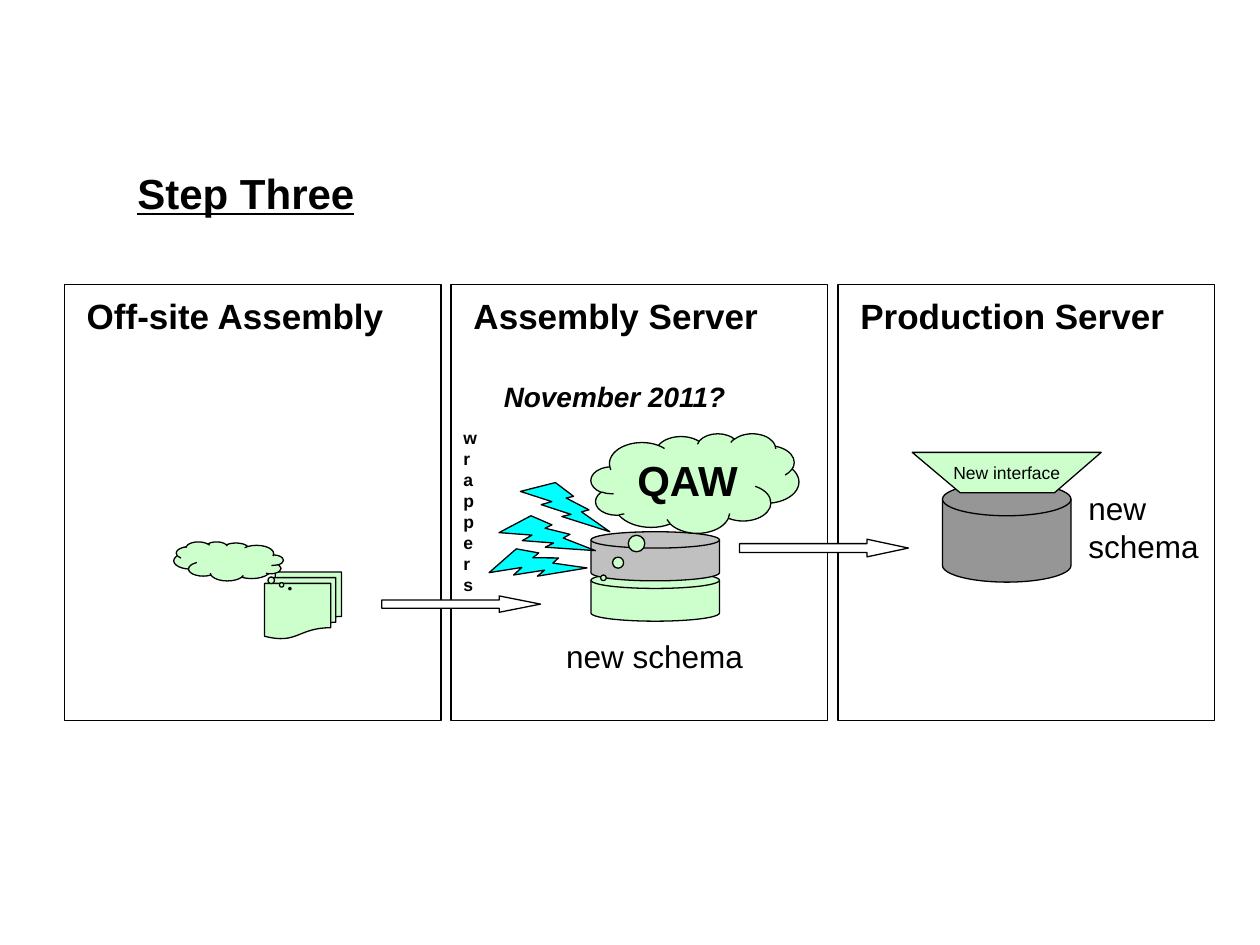
"""Build the Step Three slide: data flow from off-site assembly to the production server."""
from pptx import Presentation
from pptx import util as u
from pptx.dml.color import RGBColor
from pptx.enum import shapes, text
from pptx.oxml.ns import qn

THEME = {
    "font": "Arial", "ink": "000000", "paper": "FFFFFF", "mint": "CCFFCC",
    "silver": "C0C0C0", "gray": "969696", "cyan": "00FFFF", "line": 0.75,
    "title": 24, "heading": 20, "label": 18, "date": 16, "small": 10,
}
KIND = shapes.MSO_SHAPE
LEFT, CENTER = text.PP_ALIGN.LEFT, text.PP_ALIGN.CENTER
TOP, MIDDLE = text.MSO_ANCHOR.TOP, text.MSO_ANCHOR.MIDDLE
GROW, FIXED = text.MSO_AUTO_SIZE.SHAPE_TO_FIT_TEXT, text.MSO_AUTO_SIZE.NONE

TITLE = ("Step Three", (0.99, 1.28, 1.97, 0.5))
PANELS = ["Off-site Assembly", "Assembly Server", "Production Server"]
PANEL_BOX, PANEL_STEP = (0.51, 2.26, 2.99, 3.46), 3.07
HEADING_BOX = (0.59, 2.29, 2.84, 0.44)

PRODUCTION_DISK = (KIND.FLOWCHART_MAGNETIC_DISK, (7.48, 3.83, 1.02, 0.79), "gray", {})
INTERFACE = ("New interface", [(7.24, 3.59), (8.74, 3.59), (8.37, 3.91), (7.62, 3.91)])
FLOW_SHAPES = [
    (KIND.RIGHT_ARROW, (5.87, 4.28, 1.34, 0.14), "paper", {"adjust": (0.5, 2.35)}),
    (KIND.RIGHT_ARROW, (3.03, 4.73, 1.26, 0.13), "paper", {"adjust": (0.5, 2.52)}),
    (KIND.FLOWCHART_MULTIDOCUMENT, (2.1, 4.54, 0.61, 0.53), "mint", {}),
    (KIND.FLOWCHART_MAGNETIC_DISK, (4.69, 4.54, 1.02, 0.39), "mint", {}),
    (KIND.FLOWCHART_MAGNETIC_DISK, (4.69, 4.22, 1.02, 0.39), "silver", {}),
    (KIND.CLOUD_CALLOUT, (4.69, 3.44, 1.65, 0.79), "mint",
     {"adjust": (-0.44, 0.95), "words": "QAW"}),
    (KIND.LIGHTNING_BOLT, (3.9, 4.3, 0.71, 0.39), "cyan", {"rotation": 333}),
    (KIND.LIGHTNING_BOLT, (3.98, 4.07, 0.71, 0.39), "cyan", {"rotation": 346.3}),
    (KIND.LIGHTNING_BOLT, (4.13, 3.83, 0.71, 0.39), "cyan", {}),
    (KIND.CLOUD_CALLOUT, (1.38, 4.3, 0.87, 0.31), "mint",
     {"adjust": (-0.56, 0.7), "flip": True}),
]
LABELS = [
    (["wrappers"], (3.58, 3.34, 0.22, 1.44), "small", {"bold": True}, {}),
    (["new", "schema"], (8.54, 3.83, 1.12, 0.7), "label", {}, {}),
    (["new schema"], (4.13, 5.01, 2.13, 0.4), "label", {}, {"align": CENTER}),
    (["November 2011?"], (3.9, 2.96, 2.28, 0.37), "date", {"bold": True, "italic": True}, {}),
]


def color(name):
    return RGBColor.from_string(THEME[name])


def inches(box):
    return [u.Inches(value) for value in box]


def set_all(target, values):
    for name, value in values.items():
        setattr(target, name, value)


def write(shape, lines, size, font=None, align=LEFT, **frame_format):
    frame = shape.text_frame
    frame.text = "\n".join(lines)
    set_all(frame, {"word_wrap": True, "vertical_anchor": TOP, "auto_size": GROW, **frame_format})
    for paragraph in frame.paragraphs:
        paragraph.alignment = align
        set_all(paragraph.font, {"name": THEME["font"], "size": u.Pt(THEME[size]), **(font or {})})
        paragraph.font.color.rgb = color("ink")


def paint(shape, fill):
    shape.shadow.inherit = False
    shape.fill.solid()
    shape.fill.fore_color.rgb = color(fill)
    shape.line.color.rgb = color("ink")
    shape.line.width = u.Pt(THEME["line"])


def add_figure(slide, kind, box, fill, adjust=(), rotation=0, flip=False, words=None):
    shape = slide.shapes.add_shape(kind, *inches(box))
    paint(shape, fill)
    shape.rotation = rotation
    for index, value in enumerate(adjust):
        shape.adjustments[index] = value
    if flip:
        shape._element.spPr.find(qn("a:xfrm")).set("flipH", "1")
    if words:
        write(shape, [words], "title", {"bold": True}, CENTER, auto_size=FIXED)


def add_label(slide, lines, box, size, font, layout):
    write(slide.shapes.add_textbox(*inches(box)), lines, size, font, **layout)


def add_interface(slide, words, points):
    corners = [inches(point) for point in points]
    builder = slide.shapes.build_freeform(*corners[0])
    builder.add_line_segments(corners[1:], close=True)
    shape = builder.convert_to_shape()
    paint(shape, "mint")
    write(shape, [words], "small", align=CENTER,
          word_wrap=False, vertical_anchor=MIDDLE, auto_size=FIXED)


def shifted(box, column):
    return (box[0] + column * PANEL_STEP, *box[1:])


def main():
    presentation = Presentation()
    set_all(presentation, {"slide_width": u.Inches(10), "slide_height": u.Inches(7.5)})
    slide = presentation.slides.add_slide(presentation.slide_layouts[5])

    words, box = TITLE
    title = slide.shapes.title
    set_all(title, dict(zip(("left", "top", "width", "height"), inches(box))))
    write(title, [words], "title", {"bold": True, "underline": True})

    for column, heading in enumerate(PANELS):
        add_figure(slide, KIND.RECTANGLE, shifted(PANEL_BOX, column), "paper")
        add_label(slide, [heading], shifted(HEADING_BOX, column), "heading", {"bold": True}, {})

    kind, box, fill, options = PRODUCTION_DISK
    add_figure(slide, kind, box, fill, **options)
    add_interface(slide, *INTERFACE)
    for kind, box, fill, options in FLOW_SHAPES:
        add_figure(slide, kind, box, fill, **options)
    for label in LABELS:
        add_label(slide, *label)

    presentation.save("out.pptx")


if __name__ == "__main__":
    main()
